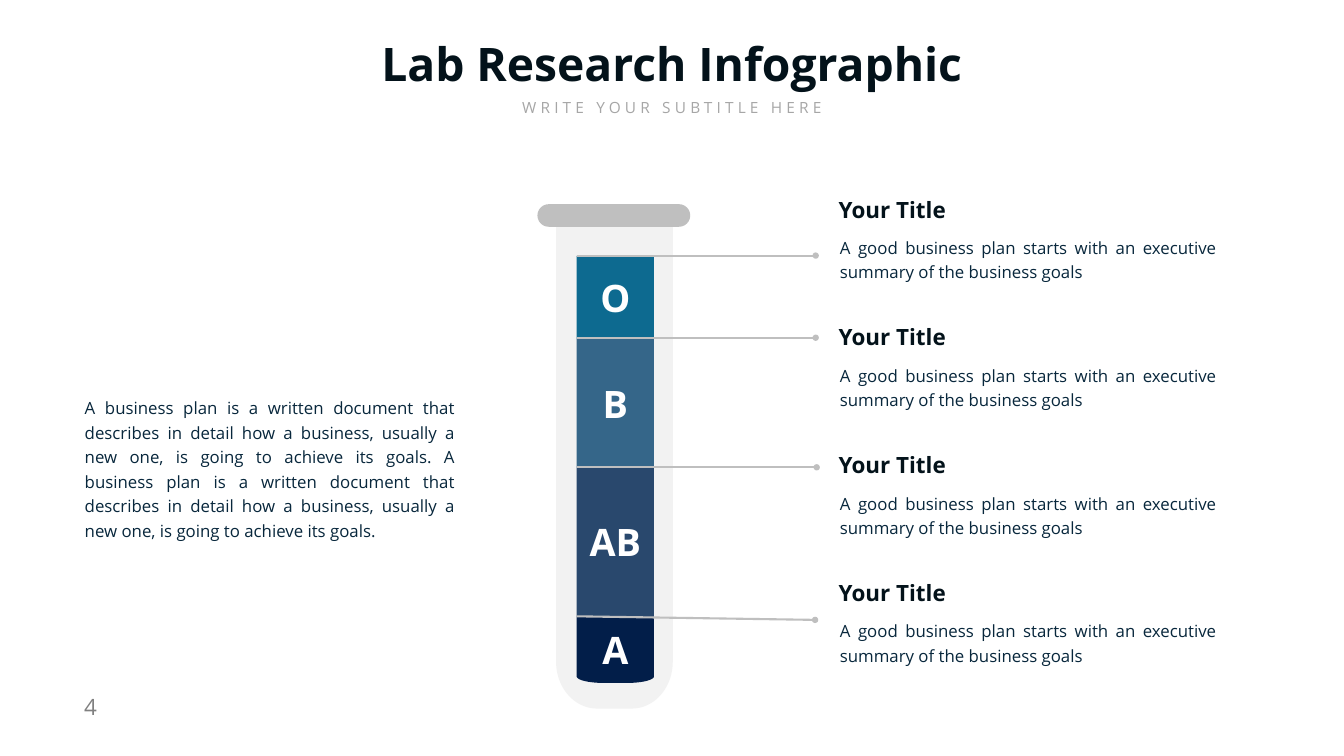
from math import cos, pi, sin

from lxml.etree import SubElement
from pptx import Presentation
from pptx.dml.color import RGBColor
from pptx.enum.shapes import MSO_CONNECTOR as Connector, MSO_SHAPE as Shape
from pptx.enum.text import MSO_ANCHOR as Anchor, MSO_AUTO_SIZE as AutoSize, PP_ALIGN as Align
from pptx.oxml.ns import qn
from pptx.util import Cm, Pt

COLORS = {
    "title": "03121A", "body": "08273C", "subtitle": "A6A6A6", "number": "808080",
    "tube": "F2F2F2", "rim": "BFBFBF", "letter": "FFFFFF",
    "O": "0D6A90", "B": "356689", "AB": "29486D", "A": "021E49",
}


class Infographic:
    font = "Open Sans"

    def __init__(self, slide):
        self.slide = slide

    def color(self, name):
        return RGBColor.from_string(COLORS[name])

    def set_text(self, frame, text, size, color, bold=False, align=Align.LEFT,
                 anchor=Anchor.TOP, wrap=False, spacing=0):
        frame.auto_size = AutoSize.NONE
        frame.word_wrap = wrap
        frame.vertical_anchor = anchor
        paragraph = frame.paragraphs[0]
        run = paragraph.add_run()
        run.text = text
        if spacing:
            run.font._element.set("spc", str(spacing * 100))
        paragraph.alignment = align
        paragraph.space_before = Pt(0)
        paragraph.font.name = self.font
        paragraph.font.size = Pt(size)
        paragraph.font.bold = bold
        paragraph.font.color.rgb = self.color(color)
        return paragraph

    def heading(self, placeholder, box, text, size, color, **style):
        placeholder.left, placeholder.top, placeholder.width, placeholder.height = map(Cm, box)
        self.set_text(placeholder.text_frame, text, size, color, align=Align.CENTER, **style)

    def label(self, box, text, size, color, **style):
        frame = self.slide.shapes.add_textbox(*map(Cm, box)).text_frame
        self.set_text(frame, text, size, color, **style)

    def body(self, box, text, anchor=Anchor.TOP):
        frame = self.slide.shapes.add_textbox(*map(Cm, box)).text_frame
        frame.margin_left = frame.margin_right = Cm(0.61)
        frame.margin_top = frame.margin_bottom = Cm(0.3)
        paragraph = self.set_text(frame, text, 24, "body", align=Align.JUSTIFY,
                                  anchor=anchor, wrap=True)
        paragraph.line_spacing = Pt(35)

    def paint(self, shape, color):
        shape.shadow.inherit = False
        shape.fill.solid()
        shape.fill.fore_color.rgb = self.color(color)
        shape.line.fill.background()

    def block(self, box, color, preset=Shape.RECTANGLE):
        shape = self.slide.shapes.add_shape(preset, *map(Cm, box))
        if preset == Shape.ROUNDED_RECTANGLE:
            shape.adjustments[0] = 0.5
        self.paint(shape, color)

    def round_bottom(self, box, radius_x, radius_y, color, steps=24):
        left, top, width, height = box
        right, arc_y = left + width, top + height - radius_y
        outline = [(right, top)]
        for center_x, start in ((right - radius_x, 0), (left + radius_x, pi / 2)):
            angles = [start + pi / 2 * step / steps for step in range(steps + 1)]
            outline += [(center_x + radius_x * cos(a), arc_y + radius_y * sin(a)) for a in angles]
        builder = self.slide.shapes.build_freeform(Cm(left), Cm(top))
        builder.add_line_segments([(Cm(x), Cm(y)) for x, y in outline], close=True)
        self.paint(builder.convert_to_shape(), color)

    def leader(self, start, end):
        line = self.slide.shapes.add_connector(Connector.STRAIGHT, *map(Cm, start + end))
        line.line.width = Pt(3)
        line.line.color.rgb = self.color("rim")
        SubElement(line.line._get_or_add_ln(), qn("a:tailEnd"), type="oval")
        SubElement(line._element.spPr, qn("a:effectLst"))


def main():
    deck = Presentation()
    deck.slide_width, deck.slide_height = Cm(67.72), Cm(38.1)
    slide = deck.slides.add_slide(deck.slide_layouts[0])
    lab = Infographic(slide)

    lab.heading(slide.shapes.title, (18.82, 1.63, 30.07, 3.07),
                "Lab Research Infographic", 66, "title", bold=True)
    lab.heading(slide.placeholders[1], (26.01, 4.83, 15.7, 1.19),
                "WRITE YOUR SUBTITLE HERE", 22, "subtitle", spacing=6)
    lab.label((3.99, 34.8, 2.16, 1.63), "4", 32, "number", spacing=3)

    lab.round_bottom((28.02, 11.43, 5.88, 24.28), 2.06, 2.36, "tube")
    liquid_left, liquid_width = 29.06, 3.89
    levels = [12.9, 17.09, 23.55, 31.06, 34.42]
    segments = list(zip(["O", "B", "AB", "A"], levels, levels[1:]))
    for group, top, bottom in segments:
        box = (liquid_left, top, liquid_width, bottom - top)
        if group == "A":
            lab.round_bottom(box, 1.37, 0.33, group)
        else:
            lab.block(box, group)
    lab.block((27.08, 10.29, 7.7, 1.14), "rim", Shape.ROUNDED_RECTANGLE)

    leaders = [(12.88, 41.1, 12.88), (17.02, 41.1, 17.02),
               (23.55, 41.15, 23.55), (31.06, 41.07, 31.24)]
    for start_y, end_x, end_y in leaders:
        lab.leader((liquid_left, start_y), (end_x, end_y))

    letter_height = 2.57
    for group, top, bottom in segments:
        letter_top = (top + bottom - letter_height) / 2
        lab.label((liquid_left, letter_top, liquid_width, letter_height), group, 54, "letter",
                  bold=True, align=Align.CENTER, anchor=Anchor.MIDDLE)

    for row in range(len(segments)):
        item_top = 9.73 + 6.44 * row
        lab.label((42.01, item_top, 5.97, 1.63), "Your Title", 32, "title",
                  bold=True, anchor=Anchor.MIDDLE)
        lab.body((41.71, item_top + 1.73, 20.19, 3),
                 "A good business plan starts with an executive summary of the business goals")

    lab.body((3.66, 19.53, 19.86, 8),
             "A business plan is a written document that describes in detail how a business, "
             "usually a new one, is going to achieve its goals. A business plan is a written "
             "document that describes in detail how a business, usually a new one, is going to "
             "achieve its goals.", Anchor.MIDDLE)

    deck.save("out.pptx")


if __name__ == "__main__":
    main()
